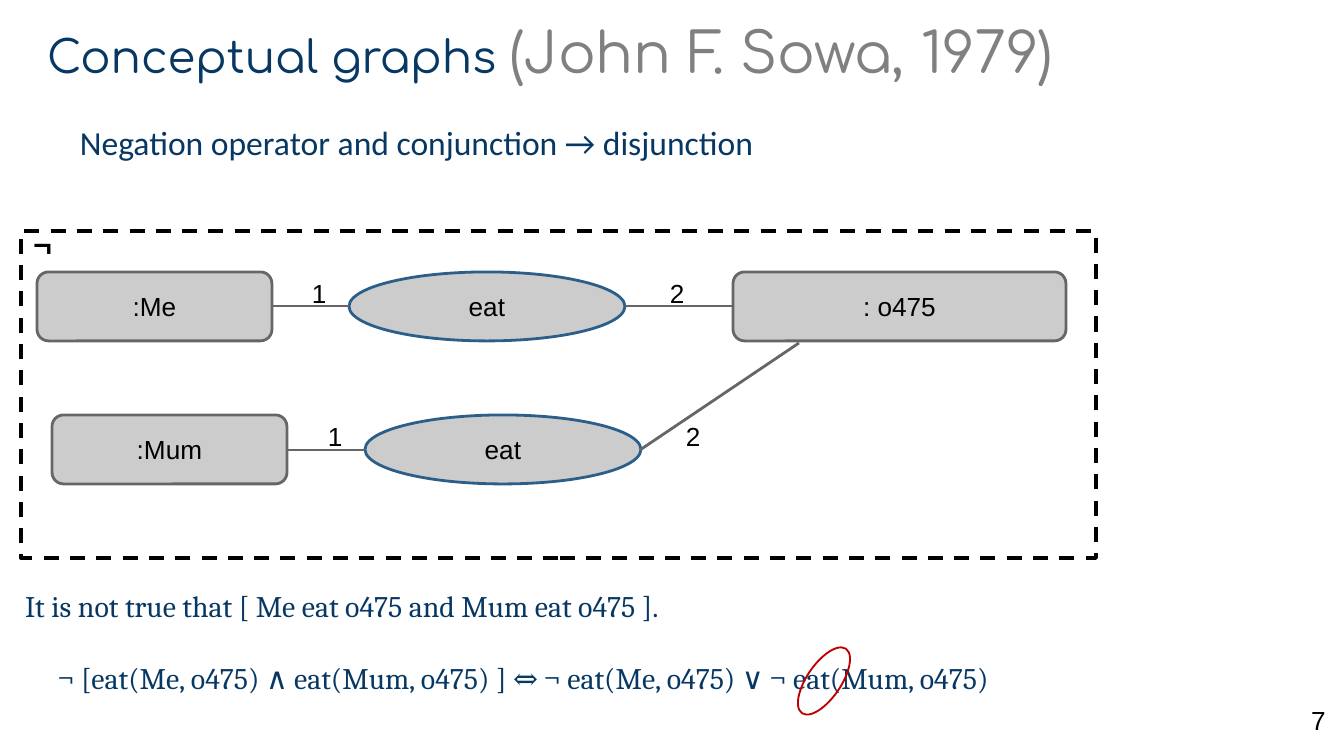
from pptx import Presentation
from pptx.dml.color import RGBColor
from pptx.enum.dml import MSO_LINE
from pptx.enum.shapes import MSO_CONNECTOR, MSO_SHAPE
from pptx.enum.text import MSO_ANCHOR, MSO_AUTO_SIZE, PP_ALIGN
from pptx.oxml.ns import qn
from pptx.util import Pt
from lxml import etree

SCALE = 914400 / 134.4  # EMU per pixel
COLORS = {"navy": "073763", "gray": "808080", "black": "000000", "fill": "CCCCCC",
          "edge": "666666", "blue": "2B5F8A", "red": "C00000"}


def px(*lengths):
    return [round(length * SCALE) for length in lengths]


def write(shape, parts, align=PP_ALIGN.LEFT, anchor=MSO_ANCHOR.TOP, wrap=True):
    """Fill one paragraph with (text, font, size, color) spans."""
    frame = shape.text_frame
    frame.auto_size = MSO_AUTO_SIZE.NONE
    frame.word_wrap = wrap
    frame.vertical_anchor = anchor
    frame.margin_left, frame.margin_right, frame.margin_top, frame.margin_bottom = px(13, 13, 13, 13)
    para = frame.paragraphs[0]
    para.alignment = align
    for text, font, size, color in parts:
        span = para.add_run()
        span.text = text
        span.font.name = font
        span.font.size = Pt(size)
        span.font.color.rgb = RGBColor.from_string(COLORS[color])


deck = Presentation()
deck.slide_width, deck.slide_height = px(1344, 756)
page = deck.slides.add_slide(deck.slide_layouts[1])
shapes = page.shapes

# Title
title = shapes.title
title.left, title.top, title.width, title.height = px(34, 19, 1210, 64)
write(title, [("Conceptual graphs ", "Comfortaa", 24, "navy"),
              ("(John F. Sowa, 1979)", "Comfortaa", 30, "gray")], anchor=MSO_ANCHOR.MIDDLE)

# Reading of the graph: sentence and indented formula
body = page.placeholders[1]
body.left, body.top, body.width, body.height = px(12, 575, 1327, 120)
write(body, [("It is not true that [ Me eat o475 and Mum eat o475 ].", "Cambria", 16, "navy")])
formula = body.text_frame.add_paragraph()
formula.text = "¬ [eat(Me, o475) ∧ eat(Mum, o475) ] ⇔ ¬ eat(Me, o475) ∨ ¬ eat(Mum, o475)"
formula.font.name = "Cambria"
span = formula.runs[0]
span.font.name = "Cambria"
span.font.size = Pt(16)
span.font.color.rgb = RGBColor.from_string(COLORS["navy"])
for para, indent, gap in zip(body.text_frame.paragraphs, (0, 33), (0, 19)):
    para.space_before = Pt(gap)
    properties = para._p.get_or_add_pPr()
    properties.set("marL", str(px(indent)[0]))
    properties.set("indent", "0")
    etree.SubElement(properties, qn("a:buNone"))

# Subtitle and page number
subtitle = shapes.add_textbox(*px(67, 109, 1210, 101))
write(subtitle, [("Negation operator and conjunction → disjunction", "Calibri", 18, "navy")])
number = shapes.add_textbox(*px(1298, 691, 81, 58))
write(number, [("7", "Arial", 14, "black")], anchor=MSO_ANCHOR.MIDDLE)

# Graph nodes
NODE_HEIGHT = 69
rounded, oval = MSO_SHAPE.ROUNDED_RECTANGLE, MSO_SHAPE.OVAL
nodes = [(rounded, 37, 272, 235, ":Me", "edge"), (oval, 349, 272, 276, "eat", "blue"),
         (rounded, 733, 272, 333, ": o475", "edge"),
         (rounded, 52, 415, 235, ":Mum", "edge"), (oval, 365, 415, 276, "eat", "blue")]
for kind, left, top, width, text, edge in nodes:
    node = shapes.add_shape(kind, *px(left, top, width, NODE_HEIGHT))
    node.shadow.inherit = False
    node.fill.solid()
    node.fill.fore_color.rgb = RGBColor.from_string(COLORS["fill"])
    node.line.color.rgb = RGBColor.from_string(COLORS[edge])
    node.line.width = Pt(1.5)
    write(node, [(text, "Arial", 14, "black")], PP_ALIGN.CENTER, MSO_ANCHOR.MIDDLE)

# Numbered edges: start, end, label, label corner
edges = [((272, 306), (349, 306), "1", (299, 270)), ((625, 306), (733, 306), "2", (657, 270)),
         ((287, 450), (365, 450), "1", (315, 413)), ((640, 450), (799, 343), "2", (673, 413))]
for start, end, text, corner in edges:
    edge = shapes.add_connector(MSO_CONNECTOR.STRAIGHT, *px(*start, *end))
    edge.line.color.rgb = RGBColor.from_string(COLORS["edge"])
    edge.line.width = Pt(1.5)
    etree.SubElement(edge._element.spPr, qn("a:effectLst"))
    label = shapes.add_textbox(*px(*corner, 42, 46))
    write(label, [(text, "Arial", 14, "black")], wrap=False)
    label.text_frame.margin_top = label.text_frame.margin_bottom = px(7)[0]

# Negation frame and its sign
frame = shapes.add_shape(MSO_SHAPE.RECTANGLE, *px(21, 231, 1075, 327))
frame.line.color.rgb = RGBColor.from_string(COLORS["black"])
frame.line.width = Pt(2)
frame.line.dash_style = MSO_LINE.DASH
sign = shapes.add_textbox(*px(20, 218, 51, 54))
write(sign, [("¬", "Cambria", 18, "black")], wrap=False)
sign.text_frame.margin_top = sign.text_frame.margin_bottom = px(7)[0]
sign.text_frame.paragraphs[0].runs[0].font.bold = True

# Red ring around the disjunct
ring = shapes.add_shape(MSO_SHAPE.OVAL, *px(785, 664, 78, 34))
ring.rotation = 304.2
ring.line.color.rgb = RGBColor.from_string(COLORS["red"])
ring.line.width = Pt(1)
for outline in (frame, ring):
    outline.fill.background()
    outline.shadow.inherit = False

deck.save("out.pptx")
